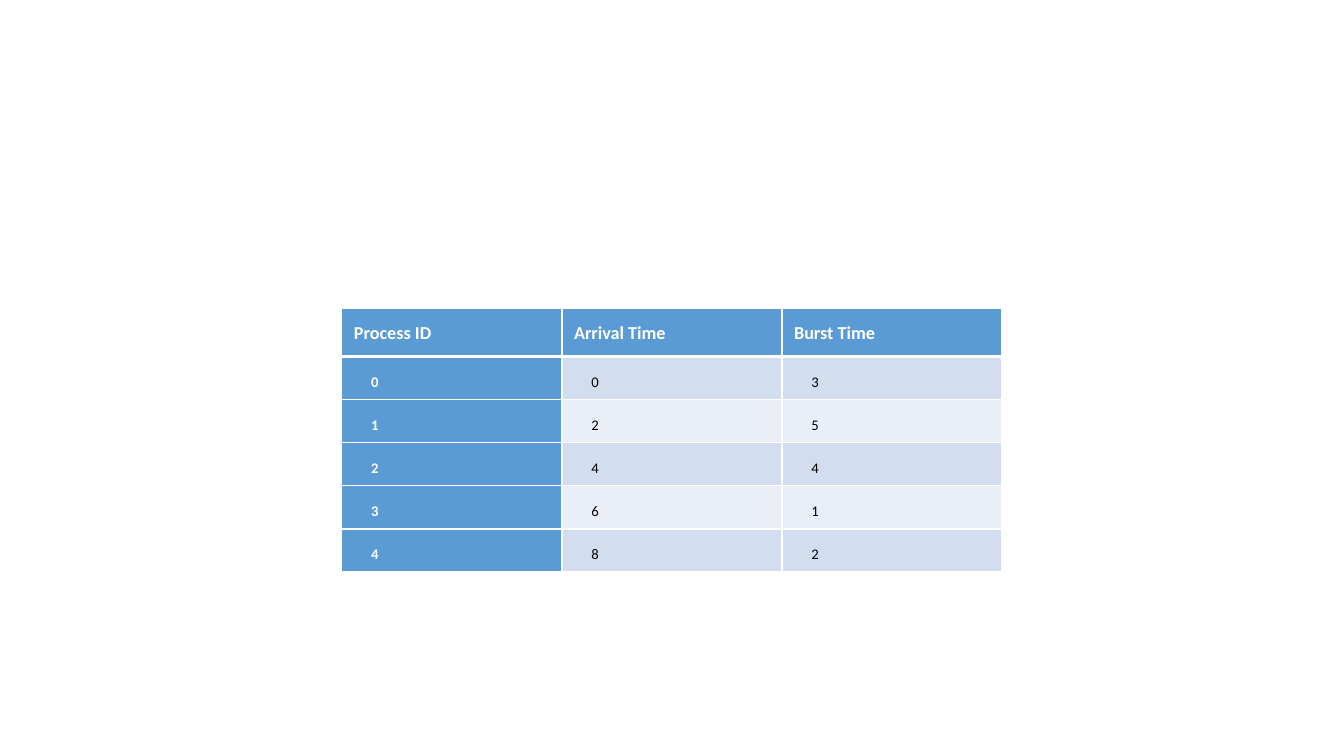
from lxml.etree import SubElement
from pptx import Presentation
from pptx.dml.color import RGBColor as Rgb
from pptx.oxml import parse_xml
from pptx.oxml.ns import nsdecls, qn
from pptx.util import Pt

COLORS = {
    "header": "5B9BD5",
    "band_dark": "D2DEEF",
    "band_light": "EAEFF7",
    "white": "FFFFFF",
    "black": "000000",
}
HEADINGS = ["Process ID", "Arrival Time", "Burst Time"]
PROCESSES = [(0, 0, 3), (1, 2, 5), (2, 4, 4), (3, 6, 1), (4, 8, 2)]


class ScheduleSlide:
    font = "Calibri"
    header_height = 34.3
    body_height = 30.8

    def __init__(self, deck):
        self.slide = deck.slides.add_slide(deck.slide_layouts[6])

    def table(self, left, top, column_width, rows):
        height = self.header_height + self.body_height * (len(rows) - 1)
        columns = len(rows[0])
        grid = self.slide.shapes.add_table(
            len(rows), columns, Pt(left), Pt(top),
            Pt(column_width * columns), Pt(height),
        ).table
        for column in grid.columns:
            column.width = Pt(column_width)
        for r, values in enumerate(rows):
            grid.rows[r].height = Pt(self.body_height if r else self.header_height)
            for c, value in enumerate(values):
                self.cell(grid.cell(r, c), str(value), r, c)

    def cell(self, cell, value, r, c):
        heading = r == 0
        emphasized = heading or c == 0
        band = "band_dark" if r % 2 else "band_light"
        cell.fill.solid()
        cell.fill.fore_color.rgb = Rgb.from_string(COLORS["header" if emphasized else band])
        inset = Pt(8.65 if heading else 6)
        cell.margin_left = cell.margin_right = inset
        cell.margin_top = cell.margin_bottom = inset
        self.borders(cell, top=3 if r == 1 else 1, bottom=3 if heading else 1)

        paragraph = cell.text_frame.paragraphs[0]
        paragraph.line_spacing = 1.07 if heading else Pt(18.8)
        if not heading:
            properties = paragraph._p.get_or_add_pPr()
            properties.set("marL", str(Pt(15)))
            properties.set("indent", "0")
        run = paragraph.add_run()
        run.text = value
        run.font.name = self.font
        run.font.size = Pt(13 if heading else 10.5)
        run.font.bold = emphasized
        run.font.color.rgb = Rgb.from_string(COLORS["white" if emphasized else "black"])

    def borders(self, cell, top, bottom):
        properties = cell._tc.get_or_add_tcPr()
        widths = {"lnL": 1, "lnR": 1, "lnT": top, "lnB": bottom}
        for position, (side, width) in enumerate(widths.items()):
            border = parse_xml(f'<a:{side} {nsdecls("a")} w="{Pt(width)}"/>')
            fill = SubElement(border, qn("a:solidFill"))
            SubElement(fill, qn("a:srgbClr"), val=COLORS["white"])
            properties.insert(position, border)


def main():
    deck = Presentation()
    deck.slide_width, deck.slide_height = Pt(960), Pt(540)
    schedule = ScheduleSlide(deck)
    schedule.table(244.2, 220.4, 157.2, [HEADINGS, *PROCESSES])
    deck.save("out.pptx")


if __name__ == "__main__":
    main()
